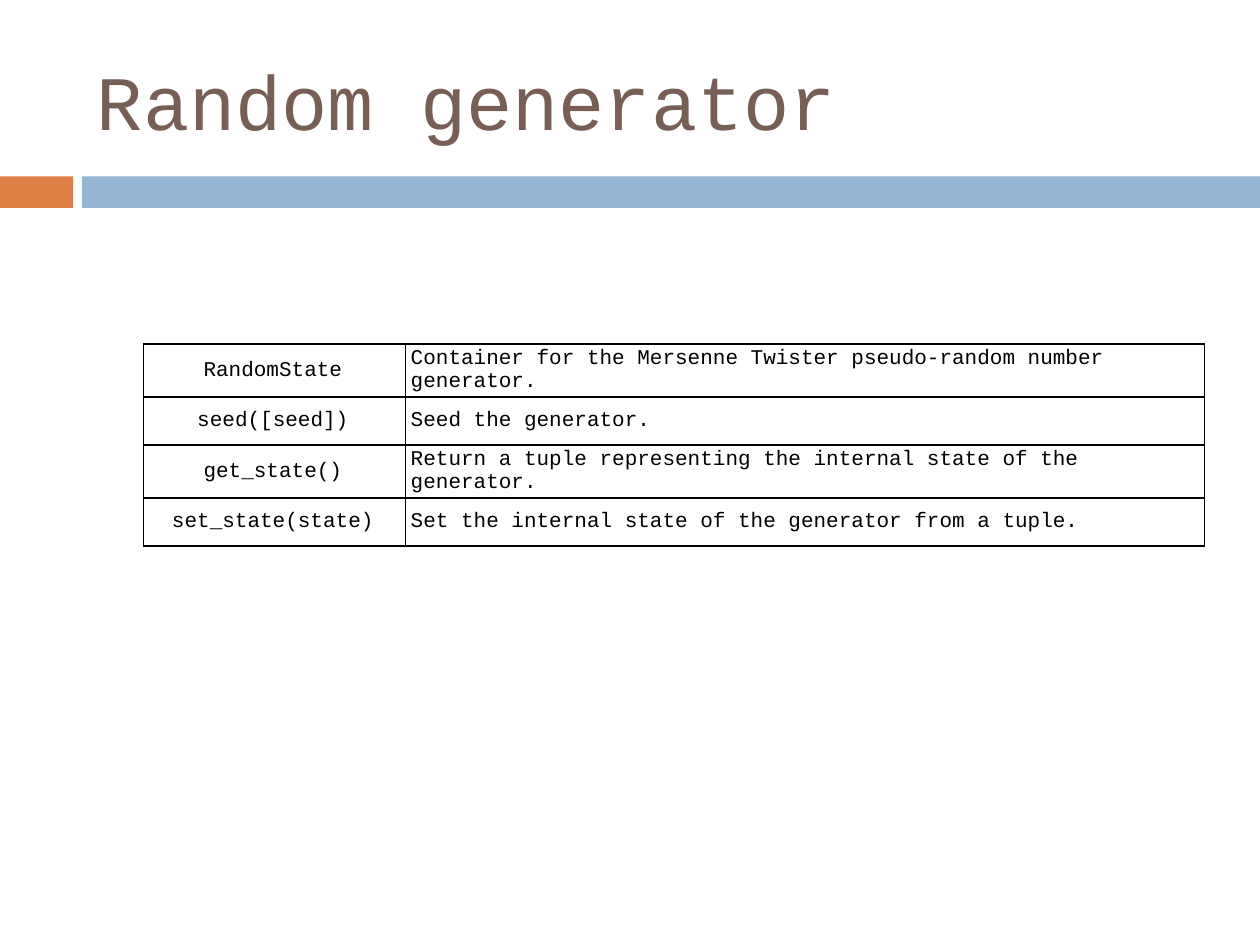
from dataclasses import dataclass

from lxml.etree import SubElement
from pptx import Presentation
from pptx.dml.color import RGBColor
from pptx.enum.shapes import MSO_SHAPE as Shape
from pptx.enum.text import MSO_ANCHOR as Anchor, PP_ALIGN as Align
from pptx.oxml.ns import qn
from pptx.slide import Slide
from pptx.table import _Cell as Cell
from pptx.text.text import _Paragraph as Paragraph
from pptx.util import Inches, Length, Pt


@dataclass(frozen=True)
class Theme:
    font: str = "Courier New"
    title: str = "775F55"
    accent: str = "DD8047"
    band: str = "94B6D2"
    ink: str = "000000"
    paper: str = "FFFFFF"
    title_size: int = 44
    body_size: int = 12
    border_width: int = 1


@dataclass(frozen=True)
class Area:
    column: float
    row: float
    columns: float
    rows: float

    def box(self) -> tuple[Length, ...]:
        return tuple(map(grid, (self.column, self.row, self.columns, self.rows)))


@dataclass(frozen=True)
class Bar:
    area: Area
    color: str


@dataclass(frozen=True)
class Function:
    signature: str
    description: str


THEME = Theme()
GRID_COLUMNS, GRID_ROWS = 100, 75
TITLE_AREA = Area(6.7, 2.5, 89.2, 10.8)
TABLE_AREA = Area(11.4, 27.3, 84.2, 15.3)
TABLE_COLUMNS = (20.8, 63.4)
BARS = (
    Bar(Area(0, 14, 5.8, 2.5), THEME.accent),
    Bar(Area(6.5, 14, GRID_COLUMNS - 6.5, 2.5), THEME.band),
)
FUNCTIONS = (
    Function("RandomState", "Container for the Mersenne Twister pseudo-random number generator."),
    Function("seed([seed])", "Seed the generator."),
    Function("get_state()", "Return a tuple representing the internal state of the generator."),
    Function("set_state(state)", "Set the internal state of the generator from a tuple."),
)


def grid(units: float) -> Length:
    return Inches(units / 10)


def style_text(paragraph: Paragraph, size: int, color: str, align: Align) -> None:
    paragraph.alignment = align
    for run in paragraph.runs:
        run.font.name = THEME.font
        run.font.size = Pt(size)
        run.font.color.rgb = RGBColor.from_string(color)


def draw_bar(slide: Slide, bar: Bar) -> None:
    shape = slide.shapes.add_shape(Shape.RECTANGLE, *bar.area.box())
    shape.shadow.inherit = False
    shape.fill.solid()
    shape.fill.fore_color.rgb = RGBColor.from_string(bar.color)
    shape.line.fill.background()


def draw_title(slide: Slide, text: str) -> None:
    text_frame = slide.shapes.add_textbox(*TITLE_AREA.box()).text_frame
    text_frame.word_wrap = True
    text_frame.vertical_anchor = Anchor.MIDDLE
    text_frame.text = text
    style_text(text_frame.paragraphs[0], THEME.title_size, THEME.title, Align.LEFT)


def add_borders(cell: Cell) -> None:
    properties = cell._tc.get_or_add_tcPr()
    for position, side in enumerate(("a:lnL", "a:lnR", "a:lnT", "a:lnB")):
        line = SubElement(properties, qn(side), w=str(Pt(THEME.border_width)))
        fill = SubElement(line, qn("a:solidFill"))
        SubElement(fill, qn("a:srgbClr"), val=THEME.ink)
        properties.insert(position, line)


def fill_cell(cell: Cell, text: str, align: Align) -> None:
    cell.text_frame.text = text
    cell.vertical_anchor = Anchor.MIDDLE
    cell.margin_left, cell.margin_right = Inches(0.04), Inches(0.07)
    cell.margin_top = cell.margin_bottom = Inches(0.01)
    cell.fill.solid()
    cell.fill.fore_color.rgb = RGBColor.from_string(THEME.paper)
    add_borders(cell)
    style_text(cell.text_frame.paragraphs[0], THEME.body_size, THEME.ink, align)


def draw_functions(slide: Slide, functions: tuple[Function, ...]) -> None:
    frame = slide.shapes.add_table(len(functions), len(TABLE_COLUMNS), *TABLE_AREA.box())
    table = frame.table
    table.first_row = table.horz_banding = False
    for column, width in zip(table.columns, TABLE_COLUMNS):
        column.width = grid(width)
    for index, function in enumerate(functions):
        fill_cell(table.cell(index, 0), function.signature, Align.CENTER)
        fill_cell(table.cell(index, 1), function.description, Align.LEFT)


def main() -> None:
    presentation = Presentation()
    presentation.slide_width = grid(GRID_COLUMNS)
    presentation.slide_height = grid(GRID_ROWS)
    slide = presentation.slides.add_slide(presentation.slide_layouts[6])
    for bar in BARS:
        draw_bar(slide, bar)
    draw_title(slide, "Random generator")
    draw_functions(slide, FUNCTIONS)
    presentation.save("out.pptx")


if __name__ == "__main__":
    main()
